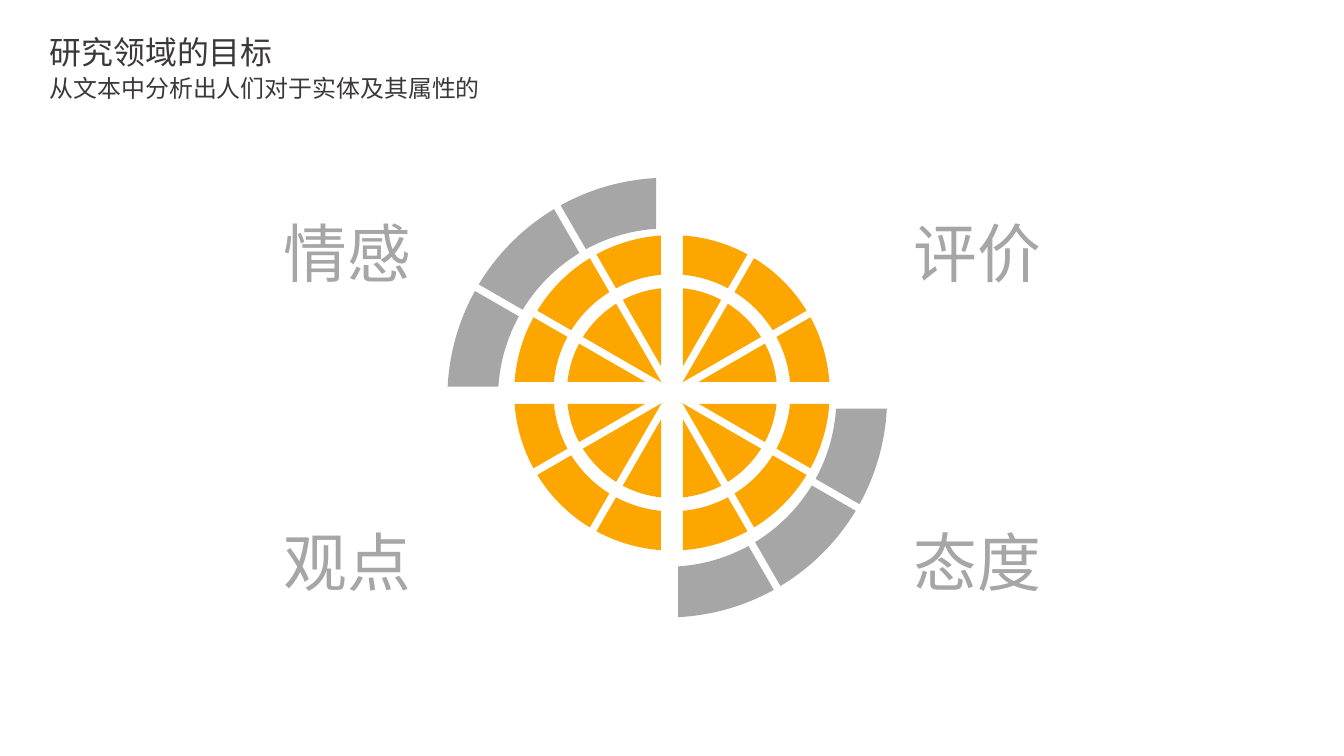
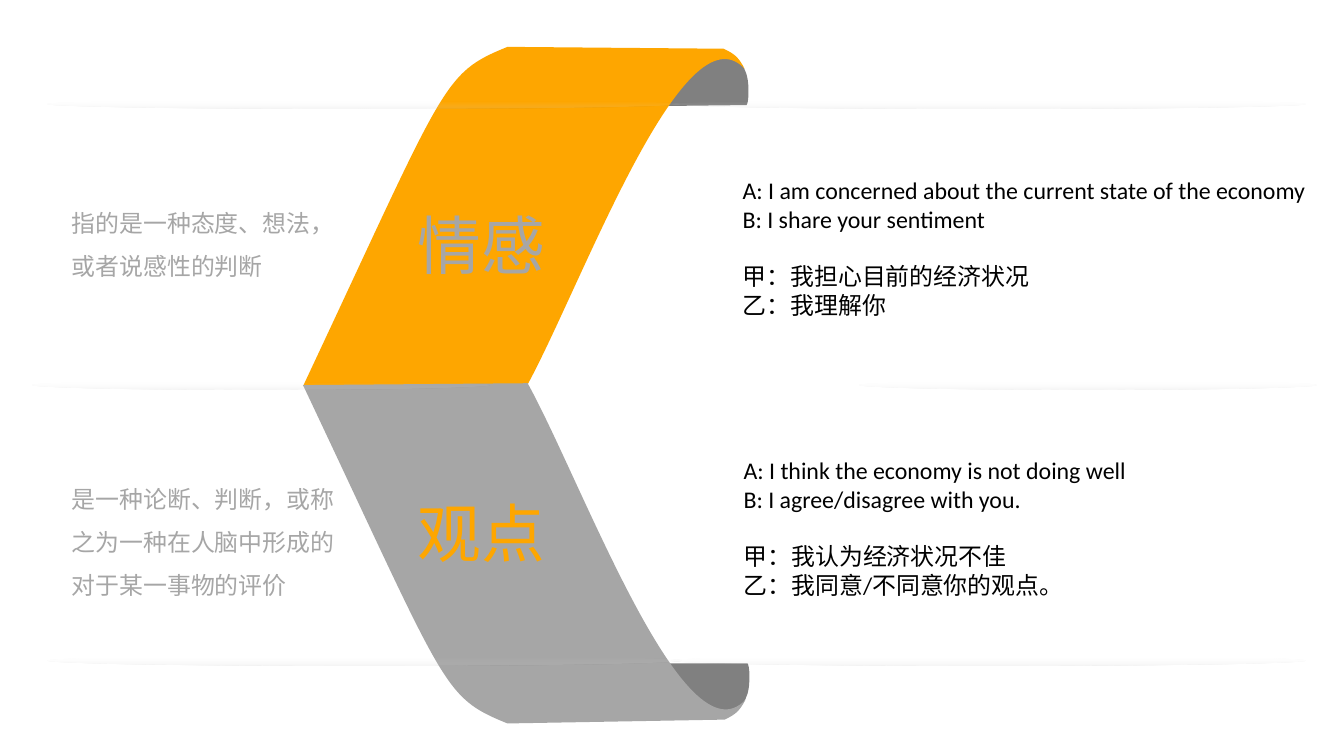
import math

from lxml import etree
from pptx import Presentation
from pptx import util as u
from pptx.dml.color import RGBColor
from pptx.enum import shapes, text
from pptx.oxml import ns

ORANGE, GREY, CURL, INK, BLACK = "FEA600", "A6A6A6", "808080", "3B3838", "000000"
CJK = "Noto Sans CJK SC"

# Text styles shared by the slides
HEADING = {"size": 24, "font": CJK, "color": INK, "inset": 0.11, "wrap": False}
SUBHEADING = {**HEADING, "size": 18}
KEYWORD = {"size": 48, "font": "Arial", "color": GREY, "inset": 0.11, "spacing": 1.2}
MEANING = {"size": 18, "font": CJK, "color": GREY, "inset": 0.1, "spacing": 1.5}
DIALOGUE = {"size": 18, "font": "Calibri", "color": BLACK, "inset": 0.1}


def write(box, area, paragraphs, style):
    """Place a text box or placeholder and fill it with styled paragraphs."""
    box.left, box.top, box.width, box.height = map(u.Inches, area)
    frame = box.text_frame
    frame_format = {
        "word_wrap": style.get("wrap", True), "auto_size": text.MSO_AUTO_SIZE.NONE,
        "vertical_anchor": text.MSO_ANCHOR.TOP,
        "margin_left": u.Inches(style["inset"]), "margin_right": u.Inches(style["inset"]),
        "margin_top": u.Inches(0.05), "margin_bottom": u.Inches(0.05),
    }
    for name, value in frame_format.items():
        setattr(frame, name, value)
    frame.text = "\n".join(paragraphs)
    for index, paragraph in enumerate(frame.paragraphs):
        # The third line of a dialogue opens its translation
        paragraph_format = {
            "alignment": text.PP_ALIGN.LEFT, "line_spacing": style.get("spacing", 1.0),
            "space_before": u.Pt(21.5 if index == 2 else 0), "space_after": u.Pt(0),
        }
        for name, value in paragraph_format.items():
            setattr(paragraph, name, value)
        for run in paragraph.runs:
            run.font.size = u.Pt(style["size"])
            run.font.color.rgb = RGBColor.from_string(style["color"])
            run.font.name = style["font"]
            east_asian = etree.SubElement(run._r.get_or_add_rPr(), ns.qn("a:ea"))
            east_asian.set("typeface", CJK)


def draw(slide, outlines, color):
    """Draw closed outlines in inches as one shape.

    An outline is a start point and its edges: one point for a straight edge,
    two controls and an end point for a Bezier curve.
    """
    builder = slide.shapes.build_freeform(*map(u.Inches, outlines[0][0]), scale=1.0)
    for index, (start, edges) in enumerate(outlines):
        if index:
            builder.move_to(*map(u.Inches, start))
        builder.add_line_segments([tuple(map(u.Inches, edge[-1])) for edge in edges], close=True)
    figure = builder.convert_to_shape()
    figure.shadow.inherit = False
    figure.fill.solid()
    figure.fill.fore_color.rgb = RGBColor.from_string(color)
    figure.line.fill.background()
    # Bend the edges that have control points
    all_edges = [edge for _, edges in outlines for edge in edges]
    for segment, edge in zip(list(figure._element.iter(ns.qn("a:lnTo"))), all_edges):
        if len(edge) == 3:
            segment.tag = ns.qn("a:cubicBezTo")
            for x, y in reversed(edge[:2]):
                control = etree.Element(ns.qn("a:pt"))
                control.set("x", str(u.Inches(x) - figure.left))
                control.set("y", str(u.Inches(y) - figure.top))
                segment.insert(0, control)


prs = Presentation()
prs.slide_width, prs.slide_height = u.Inches(14.06), u.Inches(7.91)

# Slide 1: goals, headings
goals = prs.slides.add_slide(prs.slide_layouts[1])
write(goals.shapes.title, (0.41, 0.29, 2.57, 0.51), ["研究领域的目标"], HEADING)
subheading = goals.placeholders[1]
write(subheading, (0.41, 0.72, 4.76, 0.41), ["从文本中分析出人们对于实体及其属性的"], SUBHEADING)
bullet_format = subheading.text_frame.paragraphs[0]._p.get_or_add_pPr()
bullet_format.set("marL", "0")
bullet_format.set("indent", "0")
etree.SubElement(bullet_format, ns.qn("a:buNone"))

# Wheel: 30-degree pieces parted by a wide cross and narrow spokes
CROSS, SPOKE = 0.115, 0.04
rings = [
    # centre x, centre y, inner radius, outer radius, quadrants, colour
    (6.98, 4.16, 1.77, 2.3, (0, 2), GREY),
    (7.03, 4.11, 1.24, 1.65, (0, 1, 2, 3), ORANGE),
    (7.03, 4.11, 0, 1.1, (0, 1, 2, 3), ORANGE),
]
for cx, cy, inner, outer, quadrants, color in rings:
    pieces = []
    for quadrant in quadrants:
        for third in range(3):
            start = math.radians(90 * quadrant + 30 * third)
            end = start + math.radians(30)
            gap_start = CROSS if third == 0 else SPOKE
            gap_end = CROSS if third == 2 else SPOKE
            arcs = []
            for radius in filter(None, (outer, inner)):
                first = start + math.asin(gap_start / radius)
                last = end - math.asin(gap_end / radius)
                if radius == inner:
                    first, last = last, first
                pull = 4 / 3 * math.tan((last - first) / 4)
                arcs.append([
                    (cx + radius * (math.cos(angle) - bend * math.sin(angle)),
                     cy + radius * (math.sin(angle) + bend * math.cos(angle)))
                    for angle, bend in ((first, 0), (first, pull), (last, -pull), (last, 0))])
            edges = [arcs[0][1:]]
            if inner:
                edges += [arcs[1][:1], arcs[1][1:]]
            else:
                # Tip of the wedge, where its two parted edges meet
                sine = math.sin(end - start)
                edges.append([(
                    cx + (gap_start * math.cos(end) + gap_end * math.cos(start)) / sine,
                    cy + (gap_start * math.sin(end) + gap_end * math.sin(start)) / sine)])
            pieces.append((arcs[0][0], edges))
    draw(goals, pieces, color)

# Keywords around the wheel
for keyword, left, top in (("情感", 2.86, 2.03), ("观点", 2.86, 5.26),
                           ("评价", 9.45, 2.03), ("态度", 9.45, 5.26)):
    write(goals.shapes.add_textbox(0, 0, 0, 0), (left, top, 2.66, 0.99), [keyword], KEYWORD)

# Slide 2: sentiment and opinion
terms = prs.slides.add_slide(prs.slide_layouts[6])

# Ribbon: each half is a curled end and a band over it
ribbon = [
    (CURL, (7.81, 1.1), [
        [(7.82, 1.09), (7.83, 1.04), (7.83, 0.97)],
        [(7.83, 0.92), (7.83, 0.85), (7.81, 0.78)],
        [(7.76, 0.63), (7.67, 0.58), (7.58, 0.58)],
        [(7.33, 0.58), (6.99, 1.03), (6.92, 1.11)]]),
    (ORANGE, (3.17, 4.04), [
        [(4.67, 0.85), (4.62, 0.77), (5.31, 0.49)],
        [(7.57, 0.51)],
        [(7.7, 0.57), (7.73, 0.61), (7.79, 0.72)],
        [(7.15, 0.03), (6.08, 3), (5.51, 4.04)]]),
    (CURL, (7.82, 6.94), [
        [(7.83, 6.95), (7.84, 7), (7.84, 7.07)],
        [(7.84, 7.12), (7.84, 7.19), (7.82, 7.26)],
        [(7.77, 7.41), (7.68, 7.47), (7.59, 7.47)],
        [(7.34, 7.47), (7, 7.02), (6.93, 6.94)]]),
    (GREY, (3.17, 4.03), [
        [(4.68, 7.22), (4.62, 7.29), (5.31, 7.57)],
        [(7.58, 7.53)],
        [(7.71, 7.47), (7.74, 7.43), (7.8, 7.32)],
        [(7.16, 8.01), (6.09, 5.04), (5.52, 4.01)]]),
]
for color, start, edges in ribbon:
    draw(terms, [(start, edges)], color)

# Soft shadows that part the rows
for left, top, width in ((7.03, 1.04, 6.63), (0.5, 1.04, 6.63), (7.03, 6.86, 6.63),
                         (0.5, 6.86, 6.63), (0.34, 3.98, 4.78), (8.99, 3.98, 4.78)):
    divider = terms.shapes.add_shape(
        shapes.MSO_SHAPE.OVAL, *map(u.Inches, (left, top, width, 0.1)))
    divider.shadow.inherit = False
    divider.line.fill.background()
    divider.fill.gradient()
    divider.fill.gradient_angle = 270
    for stop, position, color in zip(
            divider.fill.gradient_stops, (0.24, 1), ("F2F2F2", "BFBFBF")):
        stop.position = position
        stop.color.rgb = RGBColor.from_string(color)
    tints = divider._element.spPr.find(ns.qn("a:gradFill")).iter(ns.qn("a:srgbClr"))
    for tint, opacity in zip(list(tints), (0, 17)):
        etree.SubElement(tint, ns.qn("a:alpha")).set("val", str(opacity * 1000))

# Rows: meaning, keyword on the ribbon, dialogue
rows = [
    (("指的是一种态度、想法，或者说感性的判断", (0.65, 1.98, 3.01, 1)),
     ("情感", (4.26, 1.94, 2.66, 1.08), GREY),
     (["A: I am concerned about the current state of the economy",
       "B: I share your sentiment",
       "甲：我担心目前的经济状况\v乙：我理解你"], (7.67, 1.79, 6.16, 1.62))),
    (("是一种论断、判断，或称之为一种在人脑中形成的对于某一事物的评价", (0.65, 4.87, 3.11, 1.46)),
     ("观点", (4.26, 4.96, 2.66, 0.99), ORANGE),
     (["A: I think the economy is not doing well",
       "B: I agree/disagree with you.",
       "甲：我认为经济状况不佳\v乙：我同意/不同意你的观点。"], (7.68, 4.72, 4.25, 1.62))),
]
for (meaning, meaning_area), (keyword, keyword_area, color), (dialogue, dialogue_area) in rows:
    for area, paragraphs, style in (
            (meaning_area, [meaning], MEANING),
            (keyword_area, [keyword], {**KEYWORD, "color": color}),
            (dialogue_area, dialogue, DIALOGUE)):
        write(terms.shapes.add_textbox(0, 0, 0, 0), area, paragraphs, style)

prs.save("out.pptx")
